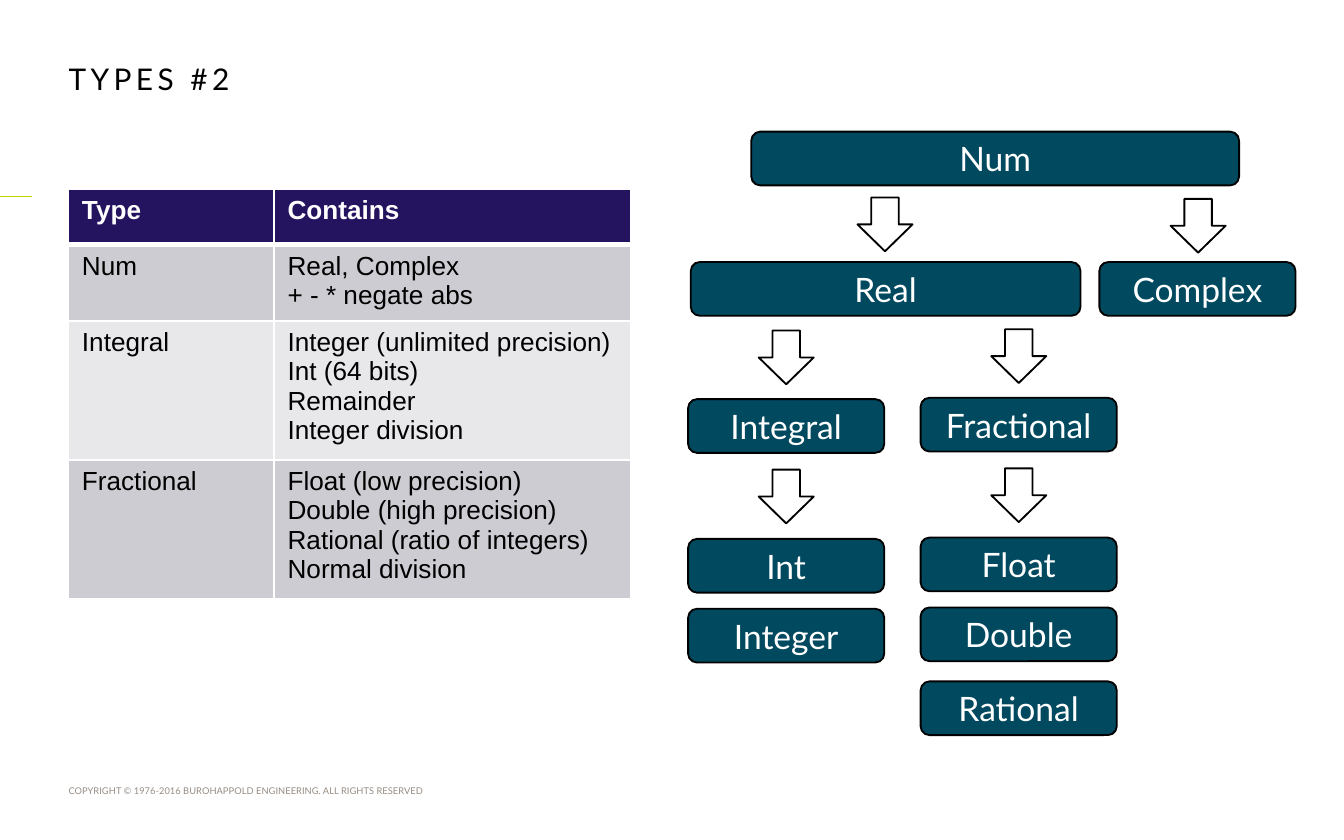
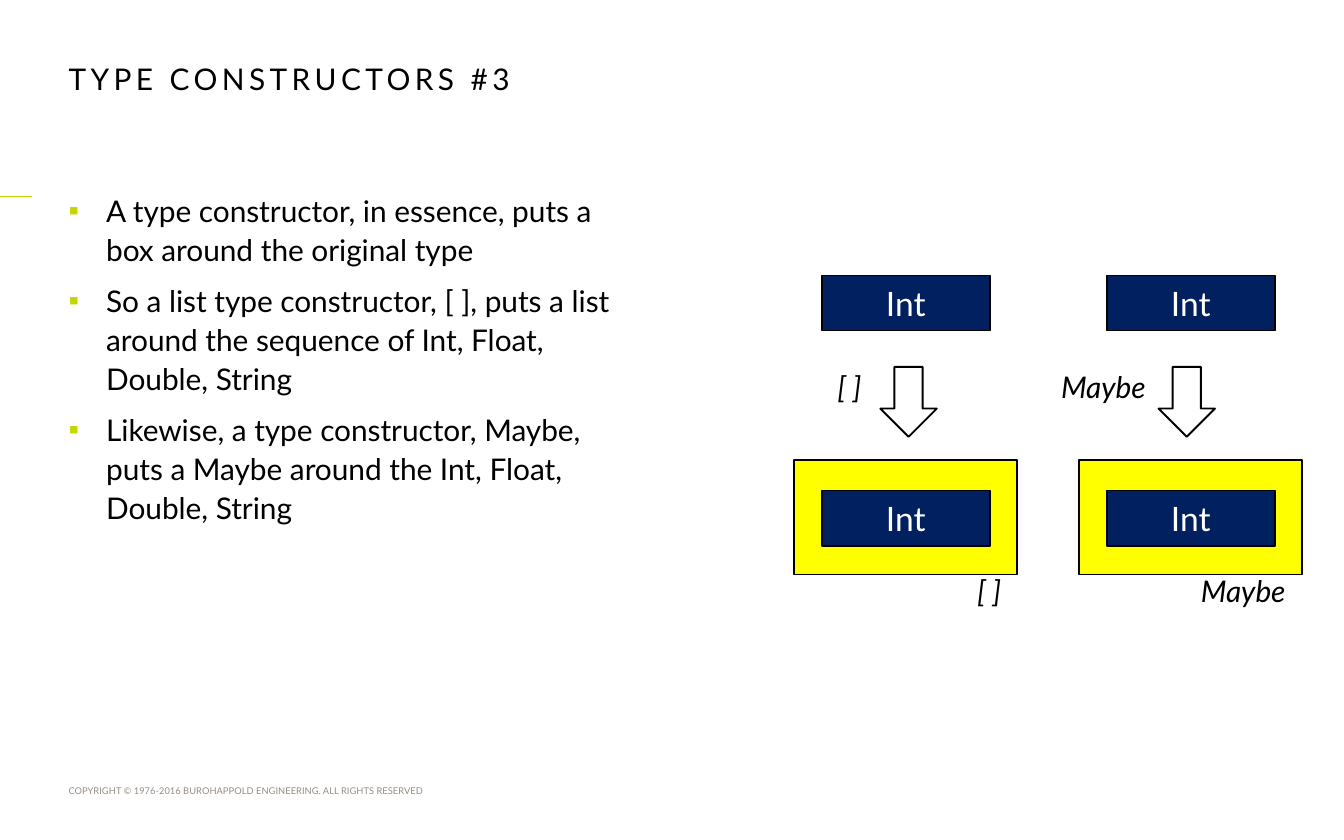
import dataclasses

import lxml.etree
import pptx
import pptx.dml.color
import pptx.enum.shapes
import pptx.enum.text
import pptx.oxml.ns
import pptx.util

RGBColor = pptx.dml.color.RGBColor
SHAPE = pptx.enum.shapes.MSO_SHAPE
ALIGN = pptx.enum.text.PP_ALIGN
ANCHOR = pptx.enum.text.MSO_ANCHOR
AUTO_SIZE = pptx.enum.text.MSO_AUTO_SIZE
Pt = pptx.util.Pt
qn = pptx.oxml.ns.qn

BLACK = RGBColor(0x00, 0x00, 0x00)
WHITE = RGBColor(0xFF, 0xFF, 0xFF)
LIME = RGBColor(0xC4, 0xD6, 0x00)
STONE = RGBColor(0x96, 0x8C, 0x83)
INDIGO = RGBColor(0x24, 0x13, 0x5F)
BAND_DARK = RGBColor(0xCD, 0xCC, 0xD2)
BAND_LIGHT = RGBColor(0xE8, 0xE7, 0xEA)
TEAL = RGBColor(0x00, 0x49, 0x5F)
NAVY = RGBColor(0x00, 0x20, 0x60)
YELLOW = RGBColor(0xFF, 0xFF, 0x00)

LATO = "Lato"
ARIAL = "Arial"

# The slide is a grid of 100 columns by 62.5 rows; all lengths count its cells.
SLIDE_WIDTH = pptx.util.Inches(10)
SLIDE_HEIGHT = pptx.util.Inches(6.25)
COLUMN = SLIDE_WIDTH / 100
ROW = SLIDE_HEIGHT / 62.5

MARGIN = 5.1
CONTENT_TOP = 14.1
CONTENT_WIDTH = 41.8

TYPE_ROWS = [
    ("Type", ["Contains"]),
    ("Num", ["Real, Complex\n+ - * negate abs"]),
    ("Integral", ["Integer (unlimited precision)", "Int (64 bits)",
                  "Remainder", "Integer division"]),
    ("Fractional", ["Float (low precision)", "Double (high precision)",
                    "Rational (ratio of integers)", "Normal division"]),
]
CONSTRUCTOR_POINTS = [
    "A type constructor, in essence, puts a box around the original type",
    "So a list type constructor, [ ], puts a list around the sequence of "
    "Int, Float, Double, String",
    "Likewise, a type constructor, Maybe, puts a Maybe around the "
    "Int, Float, Double, String",
]


@dataclasses.dataclass
class Box:
    left: float
    top: float
    width: float
    height: float

    def inner(self, x, y, width, height):
        """Return a box whose corner is x, y cells from this box's corner."""
        return Box(self.left + x, self.top + y, width, height)

    def emu(self):
        return (round(self.left * COLUMN), round(self.top * ROW),
                round(self.width * COLUMN), round(self.height * ROW))


def add_run(paragraph, text, size, color, font=LATO, bold=False, italic=False):
    run = paragraph.add_run()
    run.text = text
    run.font.name = font
    run.font.size = Pt(size)
    run.font.color.rgb = color
    run.font.bold = bold
    run.font.italic = italic
    return run


def clear_frame(frame, auto_size=AUTO_SIZE.SHAPE_TO_FIT_TEXT):
    """Make a text frame wrap from its top edge without insets."""
    frame.margin_left = frame.margin_right = 0
    frame.margin_top = frame.margin_bottom = 0
    frame.vertical_anchor = ANCHOR.TOP
    frame.word_wrap = True
    frame.auto_size = auto_size
    return frame


def move(shape, box):
    shape.left, shape.top, shape.width, shape.height = box.emu()


def add_label(slide, box, text, size, color, italic=False):
    frame = clear_frame(slide.shapes.add_textbox(*box.emu()).text_frame)
    add_run(frame.paragraphs[0], text, size, color, italic=italic)


def add_outlined(slide, kind, box, fill=None, text=None):
    shape = slide.shapes.add_shape(kind, *box.emu())
    shape.shadow.inherit = False
    shape.line.color.rgb = BLACK
    shape.line.width = Pt(1)
    if fill is None:
        shape.fill.background()
    else:
        shape.fill.solid()
        shape.fill.fore_color.rgb = fill
    if text:
        shape.text_frame.vertical_anchor = ANCHOR.MIDDLE
        paragraph = shape.text_frame.paragraphs[0]
        paragraph.alignment = ALIGN.CENTER
        add_run(paragraph, text, 18, WHITE)


def add_base_slide(prs, layout, title, title_height):
    """Add a slide with the shared title, margin tick and copyright line."""
    slide = prs.slides.add_slide(prs.slide_layouts.get_by_name(layout))
    move(slide.shapes.title, Box(MARGIN, 4.5, 59.8, title_height))
    heading = clear_frame(slide.shapes.title.text_frame).paragraphs[0]
    heading.alignment = ALIGN.LEFT
    run = add_run(heading, title, 16, BLACK)
    run.font._element.set("spc", "240")

    add_label(slide, Box(MARGIN, 58.4, 31.5, 0.8),
              "COPYRIGHT © 1976-2016 BUROHAPPOLD ENGINEERING. "
              "ALL RIGHTS RESERVED", 5, STONE)
    tick_y = round(14.6 * ROW)
    tick = slide.shapes.add_connector(
        pptx.enum.shapes.MSO_CONNECTOR.STRAIGHT,
        0, tick_y, round(2.4 * COLUMN), tick_y)
    tick.line.color.rgb = LIME
    tick.line.width = Pt(0.5)
    lxml.etree.SubElement(tick._element.spPr, qn("a:effectLst"))
    return slide


def set_cell_borders(cell, bottom_width):
    properties = cell._tc.get_or_add_tcPr()
    for side, width in (("L", 1), ("R", 1), ("T", 1), ("B", bottom_width)):
        border = lxml.etree.SubElement(
            properties, qn("a:ln" + side), w=str(Pt(width)))
        fill = lxml.etree.SubElement(border, qn("a:solidFill"))
        lxml.etree.SubElement(fill, qn("a:srgbClr"), val=str(WHITE))


def fill_cell(cell, lines, fill, color, bold):
    """Write one paragraph per line; a newline inside a line is a break."""
    set_cell_borders(cell, 3 if bold else 1)
    cell.fill.solid()
    cell.fill.fore_color.rgb = fill
    for index, line in enumerate(lines):
        frame = cell.text_frame
        paragraph = frame.add_paragraph() if index else frame.paragraphs[0]
        for part_index, part in enumerate(line.split("\n")):
            if part_index:
                paragraph.add_line_break()
            add_run(paragraph, part, 14, color, ARIAL, bold)


def add_type_table(slide, box):
    table = slide.shapes.add_table(len(TYPE_ROWS), 2, *box.emu()).table
    name_width = 15.3
    table.columns[0].width = round(name_width * COLUMN)
    table.columns[1].width = round((box.width - name_width) * COLUMN)
    for row, (name, contents) in enumerate(TYPE_ROWS):
        header = row == 0
        band = BAND_DARK if row % 2 else BAND_LIGHT
        for column, lines in enumerate(([name], contents)):
            fill_cell(table.cell(row, column), lines,
                      INDIGO if header else band,
                      WHITE if header else BLACK, header)


def add_type_tree(slide, box):
    node_width, bar_height = 14.6, 4

    def node(text, x, y, width=node_width):
        add_outlined(slide, SHAPE.ROUNDED_RECTANGLE,
                     box.inner(x, y, width, bar_height), TEAL, text)

    def arrow(x, y):
        add_outlined(slide, SHAPE.DOWN_ARROW,
                     box.inner(x, y, 4.1, bar_height))

    node("Num", 4.7, 0, 36.3)
    arrow(12.6, 4.9)
    arrow(35.9, 5)
    node("Real", 0.2, 9.7, 29)
    node("Complex", 30.6, 9.7)

    branches = [(0, 19.9, "Integral", ["Int", "Integer"]),
                (17.3, 19.8, "Fractional", ["Float", "Double", "Rational"])]
    for x, top, parent, children in branches:
        arrow_x = x + (node_width - 4.1) / 2
        arrow(arrow_x, top - 5.1)
        node(parent, x, top)
        arrow(arrow_x, top + 5.25)
        for child, drop in zip(children, (10.4, 15.6, 21.1)):
            node(child, x, top + drop)


def add_points(body, box, points):
    move(body, box)
    frame = clear_frame(body.text_frame, AUTO_SIZE.NONE)
    indent = round(2.8 * COLUMN)
    for index, point in enumerate(points):
        paragraph = frame.add_paragraph() if index else frame.paragraphs[0]
        properties = paragraph._p.get_or_add_pPr()
        properties.set("marL", str(indent))
        properties.set("indent", str(-indent))
        bullet_color = lxml.etree.SubElement(properties, qn("a:buClr"))
        lxml.etree.SubElement(bullet_color, qn("a:srgbClr"), val=str(LIME))
        lxml.etree.SubElement(properties, qn("a:buChar"), char="▪")
        paragraph.line_spacing = Pt(21)
        paragraph.space_before = Pt(0)
        paragraph.space_after = Pt(6)
        add_run(paragraph, point, 16, BLACK)


def add_constructor(slide, box, name, arrow_x, name_shift):
    """Show Int, an arrow with the constructor's name, and Int wrapped."""
    wrapper_top = 13.75
    inset = 2.05
    add_outlined(slide, SHAPE.RECTANGLE,
                 box.inner(0, wrapper_top, box.width, 8.5), YELLOW)
    for y in (0, wrapper_top + 2.25):
        add_outlined(slide, SHAPE.RECTANGLE,
                     box.inner(inset, y, box.width - 2 * inset, 4.1),
                     NAVY, "Int")
    add_outlined(slide, SHAPE.DOWN_ARROW, box.inner(arrow_x, 6.8, 4.2, 5.2))
    for x, y in ((3.2, 6.9), (13.6, 22.1)):
        add_label(slide, box.inner(x - name_shift, y, 8.1, 2.7),
                  name, 16, BLACK, italic=True)


def add_types_slide(prs):
    slide = add_base_slide(prs, "Title Only", "TYPES #2", 8.1)
    add_type_table(slide, Box(MARGIN, CONTENT_TOP, CONTENT_WIDTH, 16.4))
    add_type_tree(slide, Box(51.2, 9.8, 45.2, 44.9))


def add_constructors_slide(prs):
    slide = add_base_slide(prs, "Title and Content",
                           "TYPE CONSTRUCTORS #3", 2.7)
    add_points(slide.placeholders[1],
               Box(MARGIN, CONTENT_TOP, CONTENT_WIDTH, 40.8),
               CONSTRUCTOR_POINTS)
    add_constructor(slide, Box(59.1, 20.5, 16.6, 22.25), "[ ]", 6.4, 0)
    add_constructor(slide, Box(80.3, 20.5, 16.6, 22.25), "Maybe", 5.9, 4.55)


def main():
    prs = pptx.Presentation()
    prs.slide_width = SLIDE_WIDTH
    prs.slide_height = SLIDE_HEIGHT
    add_types_slide(prs)
    add_constructors_slide(prs)
    prs.save("out.pptx")


if __name__ == "__main__":
    main()
